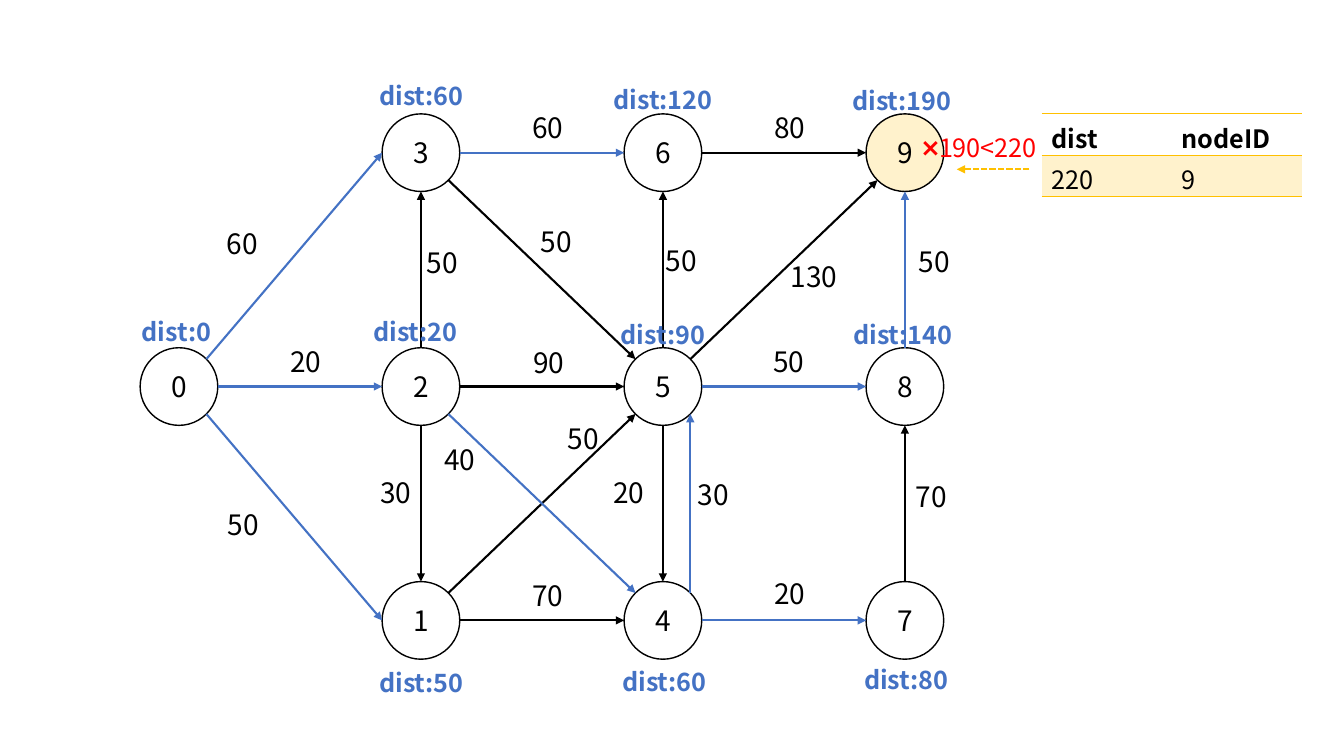
from lxml.etree import SubElement
from pptx import Presentation
from pptx.dml.color import RGBColor
from pptx.enum.dml import MSO_LINE
from pptx.enum.shapes import MSO_CONNECTOR, MSO_SHAPE
from pptx.enum.text import MSO_ANCHOR as Anchor, MSO_AUTO_SIZE as AutoSize, PP_ALIGN as Align
from pptx.oxml.ns import qn
from pptx.util import Pt

PX = 9144  # EMU per px, 100 px to the inch
FONT = "Noto Sans CJK JP"
COLOURS = {
    "black": "000000",
    "blue": "4472C4",
    "red": "FF0000",
    "gold": "FFC000",
    "cream": "FFF2CC",
}

# Graph grid
GRID_LEFT, GRID_TOP = 139, 113
COLUMN_STEP, ROW_STEP = 240, 232
NODE_SIZE = 77
DIAGONAL = 0.5 ** 0.5
PORTS = {
    "N": (0, -1), "E": (1, 0), "S": (0, 1), "W": (-1, 0),
    "NE": (DIAGONAL, -DIAGONAL), "SE": (DIAGONAL, DIAGONAL),
    "NW": (-DIAGONAL, -DIAGONAL), "SW": (-DIAGONAL, DIAGONAL),
}

# Node id: (column, row)
NODES = {
    0: (0, 1), 1: (1, 2), 2: (1, 1), 3: (1, 0), 4: (2, 2),
    5: (2, 1), 6: (2, 0), 7: (3, 2), 8: (3, 1), 9: (3, 0),
}

# Start, its port, end, its port, colour, weight, label left, label top, label width
EDGES = [
    (0, "NE", 3, "W", "blue", 60, 215, 220, 51),
    (0, "E", 2, "W", "blue", 20, 278, 337, 51),
    (0, "SE", 1, "W", "blue", 50, 216, 499, 51),
    (2, "S", 1, "N", "black", 30, 367, 467, 51),
    (2, "N", 3, "S", "black", 50, 413, 239, 51),
    (3, "E", 6, "W", "blue", 60, 518, 105, 51),
    (3, "SE", 5, "NW", "black", 50, 526, 218, 51),
    (2, "E", 5, "W", "black", 90, 519, 338, 51),
    (1, "NE", 5, "SW", "black", 50, 553, 413, 51),
    (2, "SE", 4, "NW", "blue", 40, 421, 434, 70),
    (1, "E", 4, "W", "black", 70, 518, 569, 51),
    (5, "S", 4, "N", "black", 20, 598, 467, 51),
    (4, "NE", 5, "SE", "blue", 30, 682, 469, 51),
    (6, "E", 9, "W", "black", 80, 758, 105, 51),
    (5, "N", 6, "S", "black", 50, 650, 237, 51),
    (5, "E", 8, "W", "blue", 50, 757, 337, 51),
    (4, "E", 7, "W", "blue", 20, 758, 567, 51),
    (7, "N", 8, "S", "black", 70, 898, 471, 51),
    (5, "NE", 9, "SW", "black", 130, 774, 253, 67),
    (8, "N", 9, "S", "blue", 50, 901, 238, 51),
]

# Distance, left, top, width
DISTANCES = [
    (0, 117, 309, 116), (50, 360, 657, 116), (20, 354, 309, 116),
    (60, 360, 75, 116), (60, 601, 656, 116), (120, 592, 79, 131),
    (90, 592, 312, 131), (80, 841, 654, 116), (140, 830, 312, 131),
    (190, 829, 80, 131),
]

QUEUE = [("dist", "nodeID"), ("220", "9")]


def emu(*lengths):
    return [round(length * PX) for length in lengths]


def rgb(name):
    return RGBColor.from_string(COLOURS[name])


def write(frame, text, size=18, colour="black", bold=False, align=Align.CENTER):
    paragraph = frame.paragraphs[0]
    paragraph.alignment = align
    run = paragraph.add_run()
    run.text = text
    font = run.font
    font.size, font.bold, font.name = Pt(size), bold, FONT
    font.color.rgb = rgb(colour)
    SubElement(run._r.get_or_add_rPr(), qn("a:ea"), typeface=FONT)


def add_label(slide, text, left, top, width, height, wrap=True, **style):
    frame = slide.shapes.add_textbox(*emu(left, top, width, height)).text_frame
    frame.word_wrap = wrap
    frame.auto_size = AutoSize.SHAPE_TO_FIT_TEXT
    write(frame, text, **style)


def add_node(slide, node):
    column, row = NODES[node]
    circle = slide.shapes.add_shape(MSO_SHAPE.OVAL, *emu(
        GRID_LEFT + column * COLUMN_STEP, GRID_TOP + row * ROW_STEP, NODE_SIZE, NODE_SIZE))
    circle.shadow.inherit = False
    if node == 9:
        circle.fill.solid()
        circle.fill.fore_color.rgb = rgb("cream")
    else:
        circle.fill.background()
    circle.line.color.rgb = rgb("black")
    circle.line.width = Pt(1)
    circle.text_frame.vertical_anchor = Anchor.MIDDLE
    write(circle.text_frame, str(node), size=20)


def port_at(node, port):
    column, row = NODES[node]
    across, down = PORTS[port]
    radius = NODE_SIZE / 2
    return (GRID_LEFT + column * COLUMN_STEP + radius * (1 + across),
            GRID_TOP + row * ROW_STEP + radius * (1 + down))


def add_arrow(slide, start, end, colour, dash=None):
    arrow = slide.shapes.add_connector(MSO_CONNECTOR.STRAIGHT, *emu(*start, *end))
    arrow.line.color.rgb = rgb(colour)
    arrow.line.width = Pt(1.5)
    if dash:
        arrow.line.dash_style = dash
    SubElement(arrow.get_or_add_ln(), qn("a:tailEnd"), type="triangle")
    SubElement(arrow._element.spPr, qn("a:effectLst"))


def set_borders(cell, **sides):
    properties = cell._tc.get_or_add_tcPr()
    for position, side in enumerate(("lnL", "lnR", "lnT", "lnB")):
        border = SubElement(properties, qn("a:" + side), w=str(Pt(1)))
        if side in sides:
            fill = SubElement(border, qn("a:solidFill"))
            SubElement(fill, qn("a:srgbClr"), val=COLOURS[sides[side]])
        else:
            SubElement(border, qn("a:noFill"))
        properties.insert(position, border)


def add_queue(slide):
    table = slide.shapes.add_table(2, 2, *emu(1033, 113, 258, 82)).table
    table.first_row = table.horz_banding = False
    for row, values in enumerate(QUEUE):
        for column, value in enumerate(values):
            cell = table.cell(row, column)
            if row == 0:
                cell.fill.background()
            else:
                cell.fill.solid()
                cell.fill.fore_color.rgb = rgb("cream")
            set_borders(cell, lnT="gold", lnB="gold")
            write(cell.text_frame, value, bold=row == 0, align=Align.LEFT)


def main():
    deck = Presentation()
    deck.slide_width, deck.slide_height = emu(1333, 750)
    slide = deck.slides.add_slide(deck.slide_layouts[6])

    # Graph
    for node in NODES:
        add_node(slide, node)
    for start, leave, end, arrive, colour, weight, left, top, width in EDGES:
        add_arrow(slide, port_at(start, leave), port_at(end, arrive), colour)
        add_label(slide, str(weight), left, top, width, 44, wrap=False, size=20)

    # Shortest distances
    for distance, left, top, width in DISTANCES:
        add_label(slide, f"dist:{distance}", left, top, width, 40, colour="blue", bold=True)

    # Queue entry rejected at node 9
    add_queue(slide)
    add_label(slide, "❌190<220", 879, 126, 185, 40, colour="red")
    add_arrow(slide, (1021, 168), (949, 168), "gold", dash=MSO_LINE.SQUARE_DOT)

    deck.save("out.pptx")


if __name__ == "__main__":
    main()
